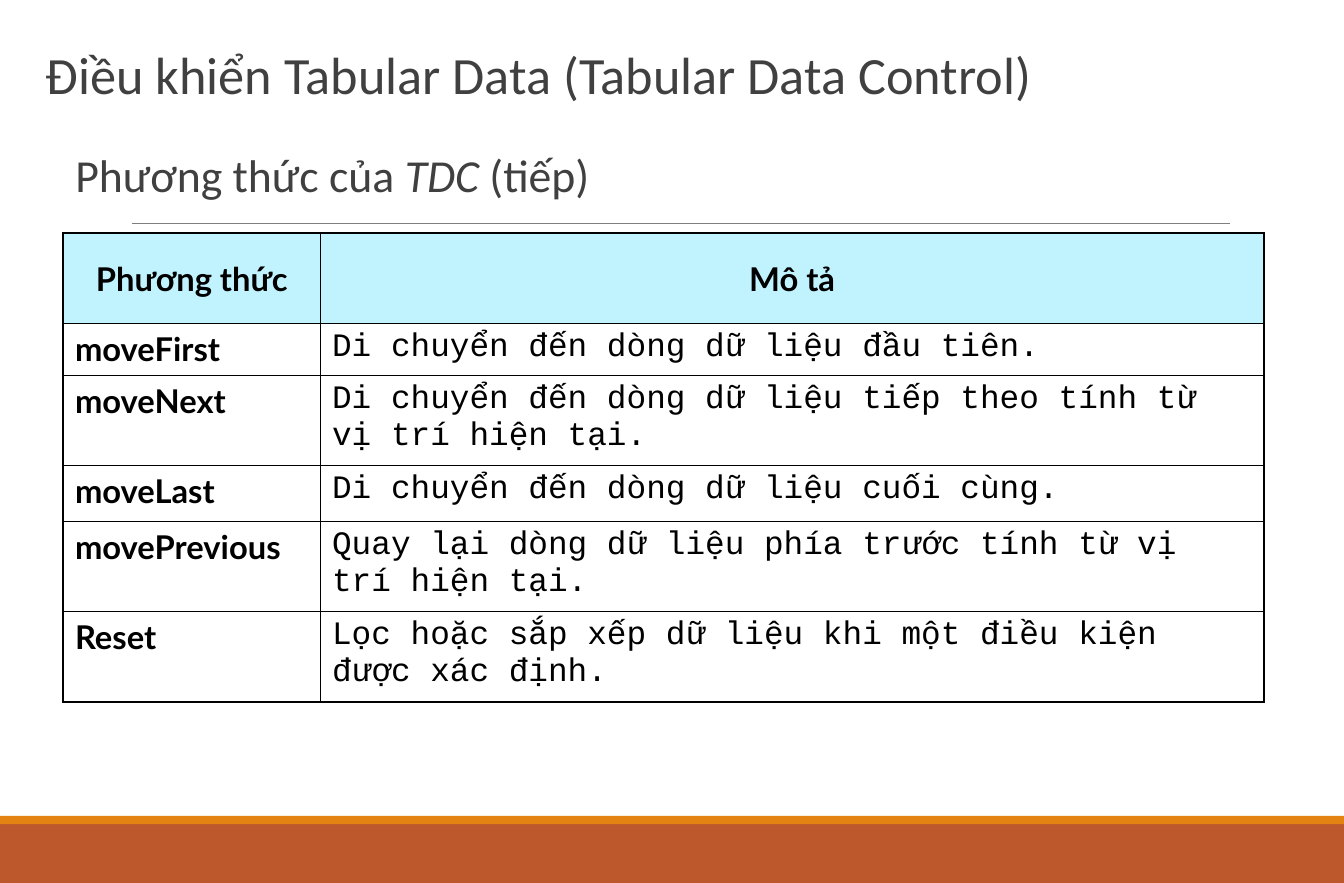
import pptx
import pptx.dml.color
import pptx.enum.shapes
import pptx.enum.text
import pptx.oxml
import pptx.oxml.ns
import pptx.util

Pt = pptx.util.Pt
ANCHOR = pptx.enum.text.MSO_ANCHOR
ALIGN = pptx.enum.text.PP_ALIGN

# Content
TITLE = "Điều khiển Tabular Data (Tabular Data Control)"
SUBTITLE = [("Phương thức của ", False), ("TDC", True), (" (tiếp)", False)]
HEADER = ("Phương thức", "Mô tả")
METHODS = [
    ("moveFirst", "Di chuyển đến dòng dữ liệu đầu tiên."),
    ("moveNext", "Di chuyển đến dòng dữ liệu tiếp theo tính từ vị trí hiện tại."),
    ("moveLast", "Di chuyển đến dòng dữ liệu cuối cùng."),
    ("movePrevious", "Quay lại dòng dữ liệu phía trước tính từ vị trí hiện tại."),
    ("Reset", "Lọc hoặc sắp xếp dữ liệu khi một điều kiện được xác định."),
]

# Theme and measures, in points
THEME = {
    "heading": "Calibri", "name": "Lato", "description": "Courier New",
    "title_size": 32, "subtitle_size": 28, "table_size": 20,
    "text": "404040", "black": "000000", "header_fill": "C1F3FF",
    "band": "BD582C", "stripe": "E48312", "rule": "7F7F7F",
    "outer_line": 1.47, "inner_line": 0.45,
}
PAGE_WIDTH, PAGE_HEIGHT = 822.24, 540
BAND_HEIGHT, STRIPE_HEIGHT = 36, 5
COLUMN_WIDTHS = (157.3, 577.2)
ROW_HEIGHTS = (55.3, 31.6, 55.3, 34, 55.3, 55.3)


def color(name):
    return pptx.dml.color.RGBColor.from_string(THEME[name])


def style(font, face, size, ink, bold=False, italic=False):
    font.name, font.size = THEME[face], Pt(THEME[size])
    font.bold, font.italic = bold, italic
    font.color.rgb = color(ink)


def add_bar(page, top, height, fill):
    bar = page.shapes.add_shape(pptx.enum.shapes.MSO_SHAPE.RECTANGLE,
                                0, Pt(top), Pt(PAGE_WIDTH), Pt(height))
    bar.shadow.inherit = False
    bar.fill.solid()
    bar.fill.fore_color.rgb = color(fill)
    bar.line.fill.background()


def add_heading(page, spans, left, top, width, height, size, spacing, anchor):
    box = page.shapes.add_textbox(Pt(left), Pt(top), Pt(width), Pt(height))
    frame = box.text_frame
    frame.word_wrap = True
    frame.vertical_anchor = anchor
    para = frame.paragraphs[0]
    para.line_spacing = spacing
    for text, italic in spans:
        span = para.add_run()
        span.text = text
        style(span.font, "heading", size, "text", italic=italic)


def add_borders(cell, row, column):
    outer = {"lnL": column == 0, "lnR": column == len(COLUMN_WIDTHS) - 1,
             "lnT": row == 0, "lnB": row == len(ROW_HEIGHTS) - 1}
    properties = cell._tc.get_or_add_tcPr()
    for index, (side, is_outer) in enumerate(outer.items()):
        width = Pt(THEME["outer_line" if is_outer else "inner_line"])
        properties.insert(index, pptx.oxml.parse_xml(
            f'<a:{side} {pptx.oxml.ns.nsdecls("a")} w="{int(width)}"><a:solidFill>'
            f'<a:srgbClr val="{THEME["black"]}"/></a:solidFill></a:{side}>'))


def add_methods_table(page, left, top):
    rows = [HEADER, *METHODS]
    frame = page.shapes.add_table(len(rows), len(HEADER), Pt(left), Pt(top),
                                  Pt(sum(COLUMN_WIDTHS)), Pt(sum(ROW_HEIGHTS)))
    table = frame.table
    for column, width in zip(table.columns, COLUMN_WIDTHS):
        column.width = Pt(width)
    for r, texts in enumerate(rows):
        table.rows[r].height = Pt(ROW_HEIGHTS[r])
        for c, text in enumerate(texts):
            cell = table.cell(r, c)
            is_header = r == 0
            is_name = is_header or c == 0
            cell.text_frame.text = text
            cell.vertical_anchor = ANCHOR.MIDDLE if is_header else ANCHOR.TOP
            para = cell.text_frame.paragraphs[0]
            para.alignment = ALIGN.CENTER if is_header else ALIGN.LEFT
            style(para.runs[0].font, "name" if is_name else "description",
                  "table_size", "black", bold=is_name)
            if is_header:
                cell.fill.solid()
                cell.fill.fore_color.rgb = color("header_fill")
            else:
                cell.fill.background()
            add_borders(cell, r, c)


def main():
    deck = pptx.Presentation()
    deck.slide_width, deck.slide_height = Pt(PAGE_WIDTH), Pt(PAGE_HEIGHT)
    page = deck.slides.add_slide(deck.slide_layouts[6])

    # Footer bars
    band_top = PAGE_HEIGHT - BAND_HEIGHT
    add_bar(page, band_top, BAND_HEIGHT, "band")
    add_bar(page, band_top - STRIPE_HEIGHT, STRIPE_HEIGHT, "stripe")

    # Rule under the headings
    rule = page.shapes.add_connector(pptx.enum.shapes.MSO_CONNECTOR.STRAIGHT,
                                     Pt(80.6), Pt(136.8), Pt(752.4), Pt(136.8))
    rule.line.color.rgb = color("rule")
    rule.line.width = Pt(0.5)
    rule._element.spPr.append(pptx.oxml.parse_xml(
        f'<a:effectLst {pptx.oxml.ns.nsdecls("a")}/>'))

    # Headings
    add_heading(page, [(TITLE, False)], 21, 18, 678, 49.7,
                "title_size", 0.85, ANCHOR.BOTTOM)
    add_heading(page, SUBTITLE, 39, 90, 678, 40,
                "subtitle_size", 0.9, ANCHOR.TOP)

    # Table of methods
    add_methods_table(page, 38.7, 142.6)
    deck.save("out.pptx")


if __name__ == "__main__":
    main()
